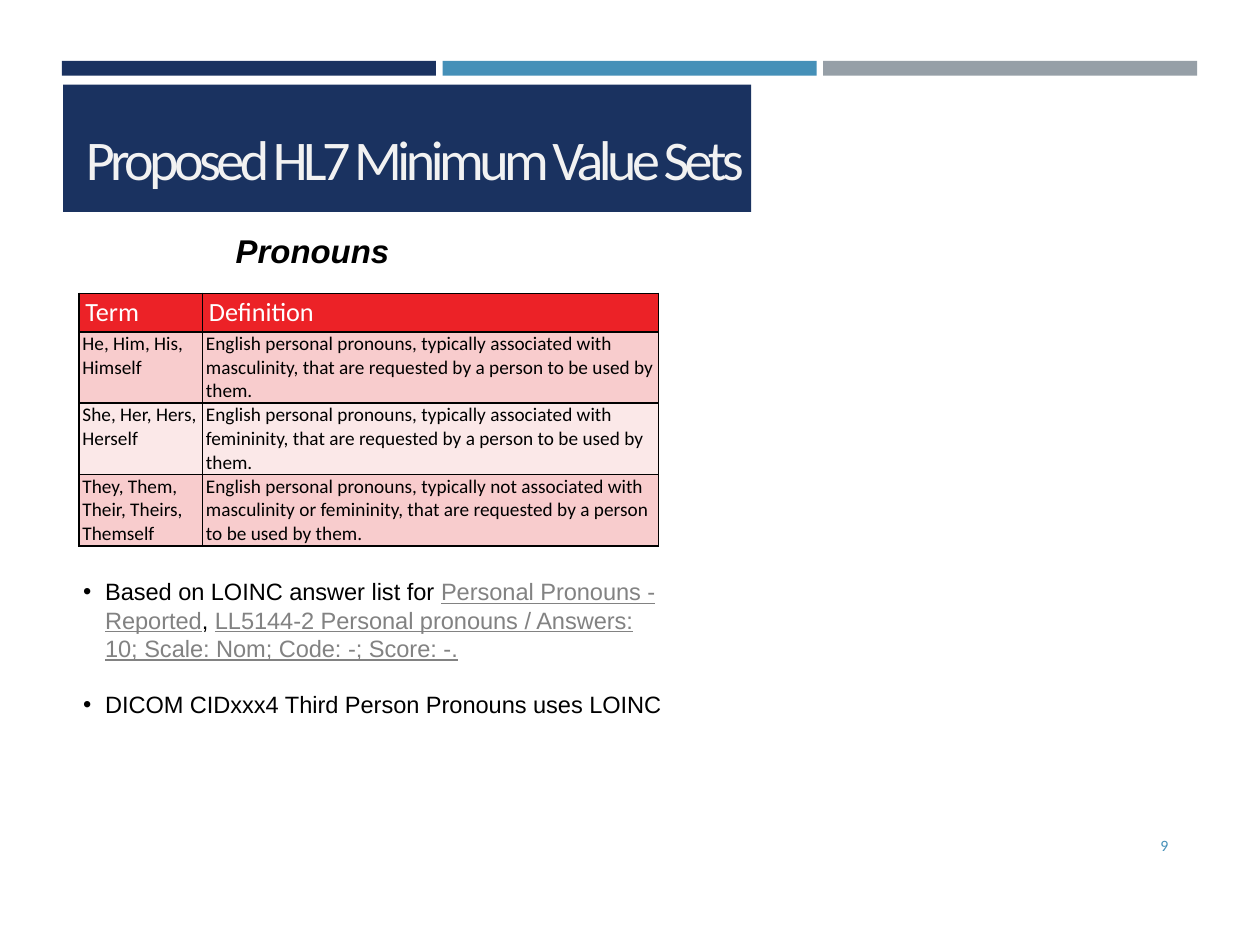
from lxml import etree
from pptx import Presentation
from pptx import util as u
from pptx.dml.color import RGBColor
from pptx.enum import shapes, text
from pptx.oxml.ns import qn

Pt = u.Pt

# Content
TITLE = "Proposed HL7 Minimum Value Sets"
SUBTITLE = "Pronouns"
PAGE = "9"
ROWS = [
    ("Term", "Definition"),
    ("He, Him, His, Himself",
     "English personal pronouns, typically associated with masculinity, "
     "that are requested by a person to be used by them."),
    ("She, Her, Hers, Herself",
     "English personal pronouns, typically associated with femininity, "
     "that are requested by a person to be used by them."),
    ("They, Them, Their, Theirs, Themself",
     "English personal pronouns, typically not associated with masculinity or "
     "femininity, that are requested by a person to be used by them."),
]
# Each bullet is a list of (text, is_reference)
BULLETS = [
    [("Based on LOINC answer list for ", False),
     ("Personal Pronouns - Reported", True),
     (", ", False),
     ("LL5144-2 Personal pronouns / Answers: 10; Scale: Nom; Code: -; Score: -.", True)],
    [("DICOM CIDxxx4 Third Person Pronouns uses LOINC", False)],
]
COLORS = {
    "navy": "1A3260", "blue": "4590B8", "gray": "969FA7", "title": "F2F2F2",
    "head": "EC2227", "odd": "F8CCCD", "even": "FBE8E8",
    "black": "000000", "white": "FFFFFF", "link": "828282",
}

# Layout, in points
BAR_LEFT, BAR_TOP, BAR_W, BAR_H, BAR_PITCH = 35.4, 34.8, 213.7, 8.5, 217.5
COL_WIDTHS = [70.6, 260.6]
HEAD_H, ROW_H = 21.8, 40.8
INDENT = 12.5


def rgb(name):
    return RGBColor.from_string(COLORS[name])


def add_run(p, words, color, **font):
    r = p.add_run()
    r.text = words
    r.font.color.rgb = rgb(color)
    for key, value in font.items():
        setattr(r.font, key, value)
    return r


def set_frame(tf, anchor, inset=None):
    tf.word_wrap = True
    tf.auto_size = text.MSO_AUTO_SIZE.NONE
    tf.vertical_anchor = anchor
    if inset is not None:
        for side in ("left", "top", "right", "bottom"):
            setattr(tf, f"margin_{side}", Pt(inset))


def add_text(s, box, inset=None):
    tf = s.shapes.add_textbox(*map(Pt, box)).text_frame
    set_frame(tf, text.MSO_ANCHOR.MIDDLE, inset)
    return tf


def add_block(s, box, color):
    sp = s.shapes.add_shape(shapes.MSO_SHAPE.RECTANGLE, *map(Pt, box))
    sp.shadow.inherit = False
    sp.fill.solid()
    sp.fill.fore_color.rgb = rgb(color)
    sp.line.fill.background()


def add_borders(cell):
    tc_pr = cell._tc.get_or_add_tcPr()
    for i, side in enumerate(("lnL", "lnR", "lnT", "lnB")):
        ln = etree.Element(qn(f"a:{side}"), w=str(Pt(1)))
        fill = etree.SubElement(ln, qn("a:solidFill"))
        etree.SubElement(fill, qn("a:srgbClr"), val=COLORS["black"])
        tc_pr.insert(i, ln)


def add_bullet(p):
    p_pr = p._p.get_or_add_pPr()
    p_pr.set("marL", str(Pt(INDENT)))
    p_pr.set("indent", str(-Pt(INDENT)))
    color = etree.SubElement(p_pr, qn("a:buClr"))
    etree.SubElement(color, qn("a:srgbClr"), val=COLORS["black"])
    etree.SubElement(p_pr, qn("a:buFont"), typeface="Arial")
    etree.SubElement(p_pr, qn("a:buChar"), char="•")


def main():
    prs = Presentation()
    prs.slide_width, prs.slide_height = Pt(720), Pt(540)
    s = prs.slides.add_slide(prs.slide_layouts[5])

    # Top bars and title band
    for i, color in enumerate(("navy", "blue", "gray")):
        add_block(s, (BAR_LEFT + i * BAR_PITCH, BAR_TOP, BAR_W, BAR_H), color)
    add_block(s, (36, 48.4, 393.2, 72.7), "navy")

    # Title, brought in front of its band
    title = s.shapes.title
    s.shapes._spTree.append(title._element)
    place = {"left": 41.8, "top": 48.2, "width": 629.3, "height": 65.5}
    for key, value in place.items():
        setattr(title, key, Pt(value))
    set_frame(title.text_frame, text.MSO_ANCHOR.BOTTOM)
    p = title.text_frame.paragraphs[0]
    p.alignment = text.PP_ALIGN.LEFT
    p.line_spacing = 0.9
    r = add_run(p, TITLE, "title", size=Pt(32), name="Calibri")
    r.font._element.set("spc", "-260")

    # Slide number
    p = add_text(s, (614.2, 468.7, 60.5, 28.8)).paragraphs[0]
    p.alignment = text.PP_ALIGN.RIGHT
    add_run(p, PAGE, "blue", size=Pt(9), name="Calibri")

    # Table of pronouns
    height = HEAD_H + ROW_H * (len(ROWS) - 1)
    table = s.shapes.add_table(len(ROWS), len(COL_WIDTHS), Pt(45.2), Pt(167.6),
                               Pt(sum(COL_WIDTHS)), Pt(height)).table
    for column, width in zip(table.columns, COL_WIDTHS):
        column.width = Pt(width)
    for i, row in enumerate(ROWS):
        head = i == 0
        table.rows[i].height = Pt(HEAD_H if head else ROW_H)
        fill = "head" if head else "odd" if i % 2 else "even"
        for j, words in enumerate(row):
            cell = table.cell(i, j)
            cell.fill.solid()
            cell.fill.fore_color.rgb = rgb(fill)
            cell.margin_left = cell.margin_right = Pt(3.6 if head else 1.9)
            cell.margin_top = cell.margin_bottom = Pt(1.8 if head else 0)
            add_run(cell.text_frame.paragraphs[0], words,
                    "white" if head else "black",
                    size=Pt(15 if head else 11), name="Calibri", bold=False)
            add_borders(cell)

    # Subtitle
    p = add_text(s, (133.2, 130.3, 259.2, 25.9), 1.5).paragraphs[0]
    add_run(p, SUBTITLE, "black", size=Pt(18.8), name="Arial", bold=True, italic=True)

    # Bullets
    tf = add_text(s, (46.1, 327.6, 338.4, 85), 1.5)
    for i, parts in enumerate(BULLETS):
        p = tf.add_paragraph() if i else tf.paragraphs[0]
        p.space_before = Pt(16 if i else 0)
        add_bullet(p)
        for words, is_reference in parts:
            add_run(p, words, "link" if is_reference else "black",
                    size=Pt(13.5), name="Arial", underline=is_reference)

    prs.save("out.pptx")


if __name__ == "__main__":
    main()
